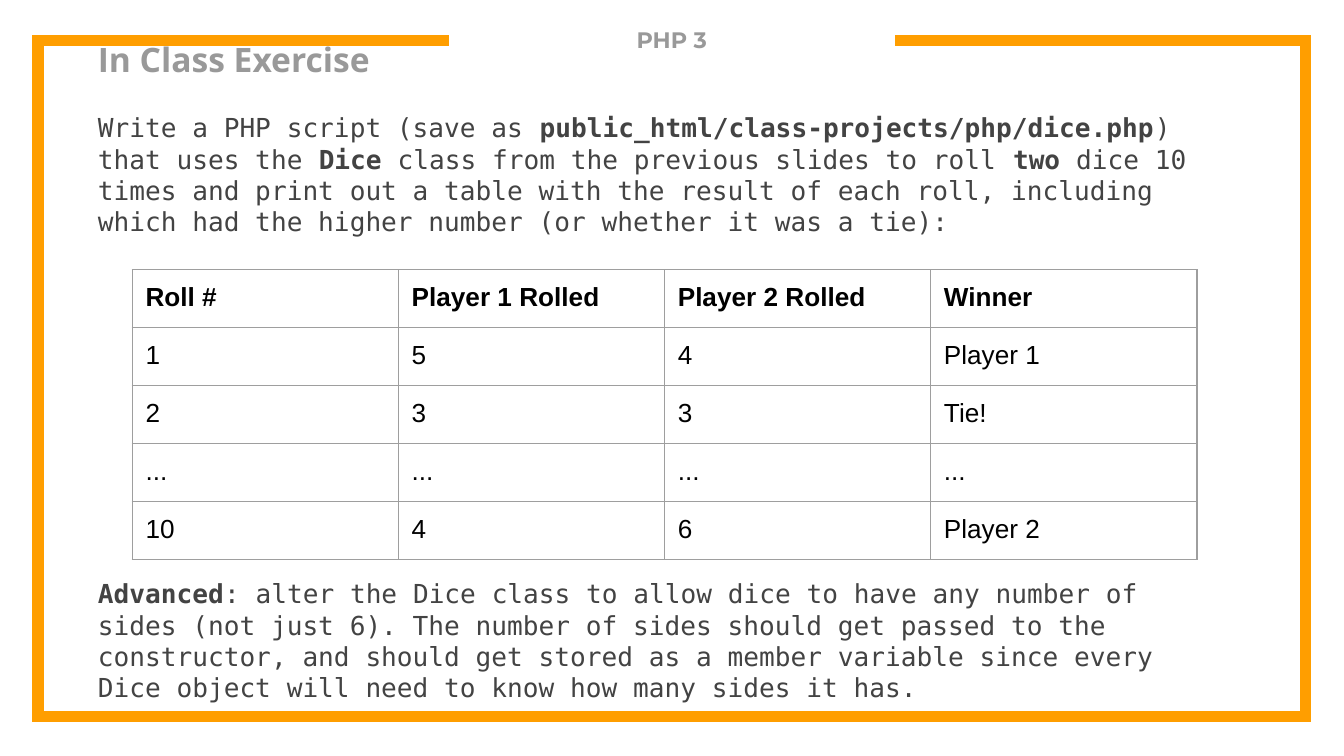
from lxml.etree import SubElement
from pptx import Presentation
from pptx.dml.color import RGBColor
from pptx.enum.text import MSO_ANCHOR, PP_ALIGN
from pptx.oxml.ns import qn
from pptx.util import Cm, Pt

ORANGE, GREY, DARK, BLACK, WHITE, RULE = (
    "FF9E00", "999999", "434343", "000000", "FFFFFF", "9E9E9E")
INSET = 0.25
TITLE = dict(name="Montserrat", size=Pt(12))
HEADING = dict(name="Open Sans", size=Pt(18))
CODE = dict(name="DejaVu Sans Mono", size=Pt(14))
CELL = dict(name="Arial", size=Pt(14))


def rgb(color):
    return RGBColor.from_string(color)


def lengths(*values):
    return [Cm(v) for v in values]


def set_attrs(obj, values):
    for key, value in values.items():
        setattr(obj, key, value)


def set_margins(obj):
    sides = ("left", "top", "right", "bottom")
    set_attrs(obj, {f"margin_{side}": Cm(INSET) for side in sides})


def add_runs(p, runs, font, color):
    for text, bold in runs:
        r = p.add_run()
        r.text = text
        set_attrs(r.font, {**font, "bold": bold})
        r.font.color.rgb = rgb(color)


def add_frame(s, box, gap_left, gap_right):
    x, y, w, h = box
    points = [(x, y), (x, y + h), (x + w, y + h), (x + w, y), (gap_right, y)]
    fb = s.shapes.build_freeform(Cm(gap_left), Cm(y))
    fb.add_line_segments([lengths(*pt) for pt in points], close=False)
    sp = fb.convert_to_shape()
    sp.shadow.inherit = False
    sp.fill.background()
    sp.line.color.rgb = rgb(ORANGE)
    sp.line.width = Pt(6)
    SubElement(sp.line._get_or_add_ln(), qn("a:miter"), lim="800000")


def place_title(s, box, text):
    sp = s.shapes.title
    set_attrs(sp, dict(zip(("left", "top", "width", "height"), lengths(*box))))
    sp.fill.solid()
    sp.fill.fore_color.rgb = rgb(WHITE)
    tf = sp.text_frame
    set_margins(tf)
    tf.vertical_anchor = MSO_ANCHOR.TOP
    p = tf.paragraphs[0]
    p.alignment = PP_ALIGN.CENTER
    add_runs(p, [(text, True)], TITLE, GREY)


def add_text(s, box, runs, font, color, spacing=None):
    tf = s.shapes.add_textbox(*lengths(*box)).text_frame
    tf.word_wrap = True
    set_margins(tf)
    p = tf.paragraphs[0]
    p.line_spacing = spacing
    add_runs(p, runs, font, color)


def set_borders(cell):
    tcPr = cell._tc.get_or_add_tcPr()
    for i, tag in enumerate(("a:lnL", "a:lnR", "a:lnT", "a:lnB")):
        ln = tcPr.makeelement(qn(tag), {"w": str(Pt(0.75))})
        fill = SubElement(ln, qn("a:solidFill"))
        SubElement(fill, qn("a:srgbClr"), val=RULE)
        tcPr.insert(i, ln)


def add_rolls(s, box, rows):
    shape = s.shapes.add_table(len(rows), len(rows[0]), *lengths(*box))
    table = shape.table
    set_attrs(table, dict(first_row=False, horz_banding=False))
    for i, row in enumerate(rows):
        for j, text in enumerate(row):
            cell = table.cell(i, j)
            set_margins(cell)
            cell.fill.background()
            set_borders(cell)
            add_runs(cell.text_frame.paragraphs[0], [(text, i == 0)], CELL, BLACK)


def add_exercise(s, box):
    x, y, w, h = box
    add_text(s, (x, y, w, 1.3), [("In Class Exercise", True)], HEADING, GREY)
    task = [
        ("Write a PHP script (save as ", False),
        ("public_html/class-projects/php/dice.php", True),
        (") that uses the ", False),
        ("Dice", True),
        (" class from the previous slides to roll ", False),
        ("two", True),
        (" dice 10 times and print out a table with the result of each roll, "
         "including which had the higher number (or whether it was a tie):", False),
    ]
    advanced = [
        ("Advanced", True),
        (": alter the Dice class to allow dice to have any number of sides "
         "(not just 6). The number of sides should get passed to the "
         "constructor, and should get stored as a member variable since every "
         "Dice object will need to know how many sides it has.", False),
    ]
    rolls = [
        ("Roll #", "Player 1 Rolled", "Player 2 Rolled", "Winner"),
        ("1", "5", "4", "Player 1"),
        ("2", "3", "3", "Tie!"),
        ("...",) * 4,
        ("10", "4", "6", "Player 2"),
    ]
    text_h = 2.9
    add_text(s, (x, y + 1.38, w, text_h), task, CODE, DARK, Pt(16.8))
    add_rolls(s, (x + 0.9, y + 4.62, 20.12, 5.3), rolls)
    add_text(s, (x, y + h - text_h, w, text_h), advanced, CODE, DARK, Pt(16.8))


prs = Presentation()
set_attrs(prs, dict(slide_width=Cm(25.4), slide_height=Cm(14.29)))
s = prs.slides.add_slide(prs.slide_layouts[5])
title_x, title_w = 8.48, 8.43
add_frame(s, (0.72, 0.76, 23.96, 12.78), title_x, title_x + title_w)
place_title(s, (title_x, 0.25, title_w, 1.3), "PHP 3")
add_exercise(s, (1.6, 0.48, 21.64, 13.09))
prs.save("out.pptx")
